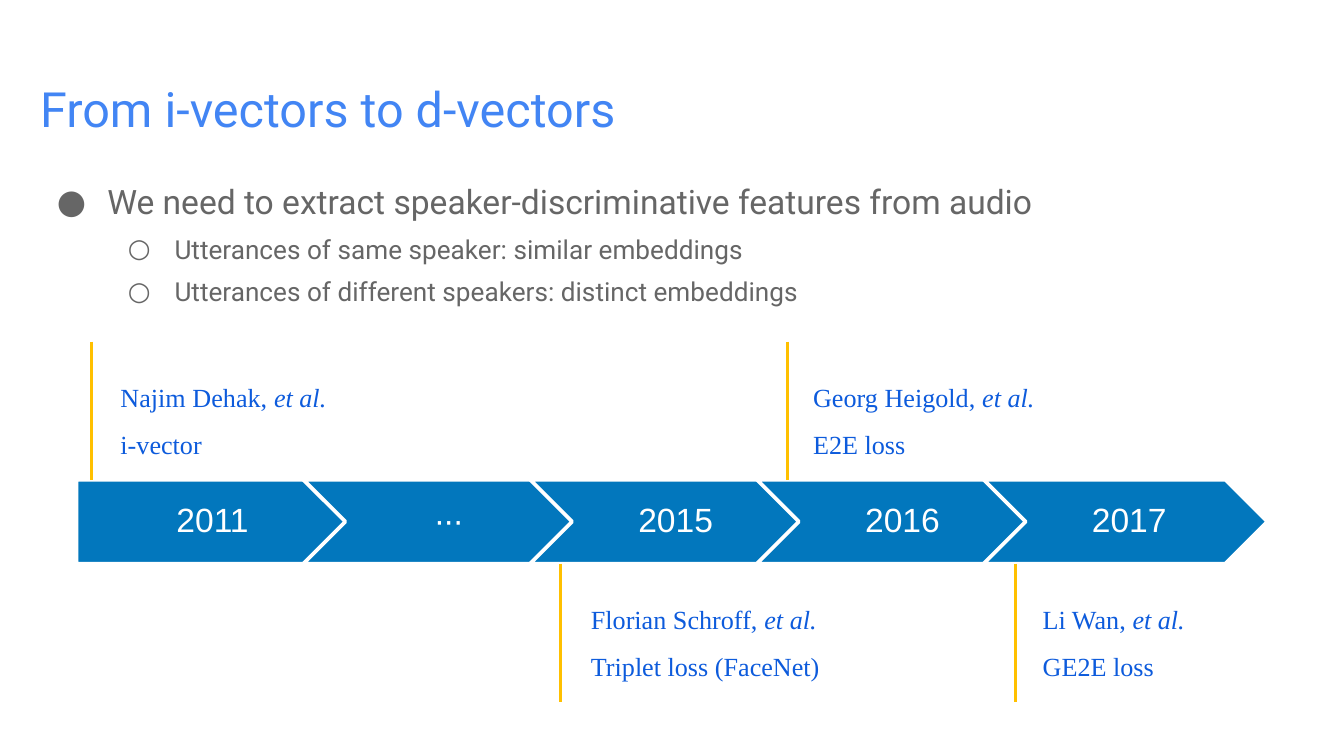
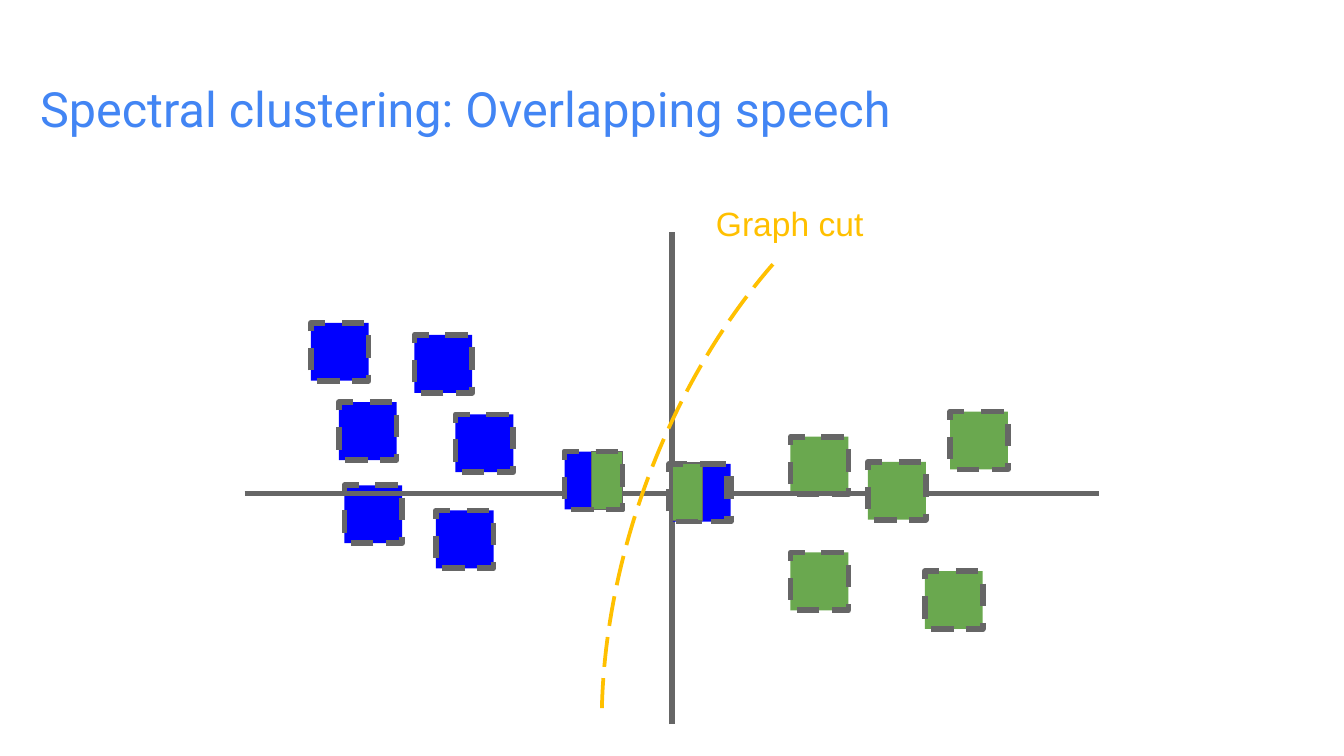
from dataclasses import dataclass
from typing import Optional

from lxml import etree
from pptx import Presentation
from pptx.dml.color import RGBColor
from pptx.enum.dml import MSO_LINE
from pptx.enum.shapes import MSO_CONNECTOR, MSO_SHAPE
from pptx.enum.text import MSO_ANCHOR, MSO_AUTO_SIZE, PP_ALIGN
from pptx.oxml.ns import qn
from pptx.util import Pt

TITLE_BLUE = RGBColor(0x42, 0x85, 0xF4)
GRAY = RGBColor(0x66, 0x66, 0x66)
TIMELINE_BLUE = RGBColor(0x02, 0x77, 0xBD)
LABEL_BLUE = RGBColor(0x0D, 0x5B, 0xDC)
AMBER = RGBColor(0xFF, 0xC0, 0x00)
WHITE = RGBColor(0xFF, 0xFF, 0xFF)
SPEAKER_BLUE = RGBColor(0x00, 0x00, 0xFF)
SPEAKER_GREEN = RGBColor(0x6A, 0xA8, 0x4F)

RECTANGLE = MSO_SHAPE.RECTANGLE
CHEVRON = MSO_SHAPE.CHEVRON
PENTAGON = MSO_SHAPE.PENTAGON
ARC = MSO_SHAPE.ARC
STRAIGHT = MSO_CONNECTOR.STRAIGHT
DASH = MSO_LINE.DASH
LONG_DASH = MSO_LINE.LONG_DASH
CENTER = PP_ALIGN.CENTER
MIDDLE = MSO_ANCHOR.MIDDLE
FIT_SHAPE = MSO_AUTO_SIZE.SHAPE_TO_FIT_TEXT

HEADING_FONT = "Roboto"
DIAGRAM_FONT = "Arial"
LABEL_FONT = "Times New Roman"


@dataclass(frozen=True)
class Bullet:
    text: str
    level: int
    symbol: str
    size: float
    margin: float
    hanging: float


@dataclass(frozen=True)
class Milestone:
    author: str
    topic: str
    line_x: float
    label_x: float
    label_width: float
    above: bool


@dataclass(frozen=True)
class Block:
    left: float
    top: float
    fill: Optional[RGBColor]
    width: float = 31
    line_width: float = 3
    dash: Optional[MSO_LINE] = DASH


BULLETS = [
    Bullet("We need to extract speaker-discriminative features from audio", 0, "●", 18, 36, 27),
    Bullet("Utterances of same speaker: similar embeddings", 1, "○", 14, 72, 25),
    Bullet("Utterances of different speakers: distinct embeddings", 1, "○", 14, 72, 25),
]

YEARS = ["2011", "∙∙∙", "2015", "2016", "2017"]
YEAR_LEFT, YEAR_TOP, YEAR_STEP = 41, 257, 121.5
YEAR_WIDTH, YEAR_HEIGHT = 152, 45
MARKER_LENGTH = 74

MILESTONES = [
    Milestone("Najim Dehak", "i-vector", 49, 57.5, 128, True),
    Milestone("Florian Schroff", "Triplet loss (FaceNet)", 300.25, 309.5, 141, False),
    Milestone("Georg Heigold", "E2E loss", 421.75, 428.5, 141, True),
    Milestone("Li Wan", "GE2E loss", 544.25, 551.5, 141, False),
]

GREEN_POINTS = [(423.5, 234), (423.5, 296), (495.5, 306), (509, 220.5)]
BLUE_POINTS = [(222, 179.5), (244, 222), (233.5, 273.5),
               (181.5, 215.5), (166.5, 173), (184.5, 260)]
BLOCKS_BEHIND_AXES = (
    [Block(x, y, SPEAKER_GREEN) for x, y in GREEN_POINTS]
    + [Block(x, y, SPEAKER_BLUE) for x, y in BLUE_POINTS]
)
BLOCKS_OVER_AXES = [
    Block(302.5, 242, SPEAKER_BLUE),
    Block(360.5, 248.5, SPEAKER_BLUE),
    Block(317, 242, SPEAKER_GREEN, 16.5, 0.75, None),
    Block(360, 248, SPEAKER_GREEN, 16.5, 0.75, None),
    Block(302.5, 242, None),
    Block(358.5, 248.5, None),
    Block(465, 247.5, SPEAKER_GREEN),
]
BLOCK_HEIGHT = 31


def style_paragraph(para, font_name: str, size: float, color: RGBColor) -> None:
    para.font.name = font_name
    para.font.size = Pt(size)
    para.font.color.rgb = color


def add_text_box(page, left: float, top: float, width: float, height: float,
                 inset: Optional[float] = None, wrap: bool = True):
    box = page.shapes.add_textbox(Pt(left), Pt(top), Pt(width), Pt(height))
    frame = box.text_frame
    frame.word_wrap = wrap
    if inset is not None:
        frame.margin_left = frame.margin_right = Pt(inset)
        frame.margin_top = frame.margin_bottom = Pt(inset)
    return frame


def add_preset(page, preset, left: float, top: float, width: float, height: float,
               fill: Optional[RGBColor], line: RGBColor, line_width: float, dash=None):
    shape = page.shapes.add_shape(preset, Pt(left), Pt(top), Pt(width), Pt(height))
    shape.shadow.inherit = False
    if fill is None:
        shape.fill.background()
    else:
        shape.fill.solid()
        shape.fill.fore_color.rgb = fill
    shape.line.color.rgb = line
    shape.line.width = Pt(line_width)
    if dash is not None:
        shape.line.dash_style = dash
    return shape


def add_line(page, x1: float, y1: float, x2: float, y2: float,
             color: RGBColor, width: float) -> None:
    line = page.shapes.add_connector(STRAIGHT, Pt(x1), Pt(y1), Pt(x2), Pt(y2))
    line.line.color.rgb = color
    line.line.width = Pt(width)
    etree.SubElement(line._element.spPr, qn("a:effectLst"))


def add_titled_page(deck, title: str):
    page = deck.slides.add_slide(deck.slide_layouts[6])
    para = add_text_box(page, 14.4, 35, 691, 45, inset=7.2).paragraphs[0]
    para.text = title
    style_paragraph(para, HEADING_FONT, 26, TITLE_BLUE)
    return page


def set_bullet(para, bullet: Bullet) -> None:
    """Give the paragraph its hanging indent and a coloured bullet symbol."""
    properties = para._p.get_or_add_pPr()
    properties.set("marL", str(Pt(bullet.margin)))
    properties.set("indent", str(-Pt(bullet.hanging)))
    color = etree.SubElement(properties, qn("a:buClr"))
    etree.SubElement(color, qn("a:srgbClr"), val=str(GRAY))
    etree.SubElement(properties, qn("a:buFont"), typeface=HEADING_FONT)
    etree.SubElement(properties, qn("a:buChar"), char=bullet.symbol)


def add_bullets(page) -> None:
    frame = add_text_box(page, 14.4, 90, 691, 296, inset=7.2)
    for index, bullet in enumerate(BULLETS):
        para = frame.add_paragraph() if index else frame.paragraphs[0]
        para.text = bullet.text
        para.level = bullet.level
        set_bullet(para, bullet)
        if index:
            para.space_before = Pt(6)
        style_paragraph(para, HEADING_FONT, bullet.size, GRAY)


def add_year(page, index: int, year: str) -> None:
    arrow = add_preset(page, CHEVRON if index else PENTAGON,
                       YEAR_LEFT + index * YEAR_STEP, YEAR_TOP,
                       YEAR_WIDTH, YEAR_HEIGHT, TIMELINE_BLUE, WHITE, 2)
    frame = arrow.text_frame
    frame.vertical_anchor = MIDDLE
    frame.margin_left = Pt(6 if index else 7.2)
    frame.margin_right = Pt(2)
    para = frame.paragraphs[0]
    para.text = year
    para.alignment = CENTER
    para.line_spacing = 0.9
    style_paragraph(para, DIAGRAM_FONT, 18, WHITE)


def add_milestone(page, milestone: Milestone) -> None:
    top = YEAR_TOP - MARKER_LENGTH if milestone.above else YEAR_TOP + YEAR_HEIGHT
    add_line(page, milestone.line_x, top, milestone.line_x, top + MARKER_LENGTH, AMBER, 1.5)
    frame = add_text_box(page, milestone.label_x, top + 9.5, milestone.label_width, 55.5)
    frame.auto_size = FIT_SHAPE
    author, topic = frame.paragraphs[0], frame.add_paragraph()
    author.add_run().text = f"{milestone.author}, "
    span = author.add_run()
    span.text = "et al."
    span.font.italic = True
    topic.text = milestone.topic
    for para in (author, topic):
        para.line_spacing = 1.5
        style_paragraph(para, LABEL_FONT, 14, LABEL_BLUE)


def add_block(page, block: Block) -> None:
    add_preset(page, RECTANGLE, block.left, block.top, block.width, BLOCK_HEIGHT,
               block.fill, GRAY, block.line_width, block.dash)


def add_graph_cut(page) -> None:
    cut = add_preset(page, ARC, 239.75, 157, 503.25, 309, None, AMBER, 2, LONG_DASH)
    cut.adjustments[0] = 28.74
    cut.adjustments[1] = 81.95
    cut.rotation = 110.2
    frame = add_text_box(page, 376.5, 105, 94.5, 29, wrap=False)
    frame.auto_size = FIT_SHAPE
    para = frame.paragraphs[0]
    para.text = "Graph cut"
    style_paragraph(para, DIAGRAM_FONT, 18, AMBER)


def build_timeline_page(deck) -> None:
    page = add_titled_page(deck, "From i-vectors to d-vectors")
    add_bullets(page)
    for index, year in enumerate(YEARS):
        add_year(page, index, year)
    for milestone in MILESTONES:
        add_milestone(page, milestone)


def build_clustering_page(deck) -> None:
    page = add_titled_page(deck, "Spectral clustering: Overlapping speech")
    for block in BLOCKS_BEHIND_AXES:
        add_block(page, block)
    add_line(page, 131, 264.5, 589, 264.5, GRAY, 3)
    add_line(page, 360, 388, 360, 124.5, GRAY, 3)
    for block in BLOCKS_OVER_AXES:
        add_block(page, block)
    add_graph_cut(page)


def main() -> None:
    deck = Presentation()
    deck.slide_width, deck.slide_height = Pt(720), Pt(405)
    build_timeline_page(deck)
    build_clustering_page(deck)
    deck.save("out.pptx")


if __name__ == "__main__":
    main()
